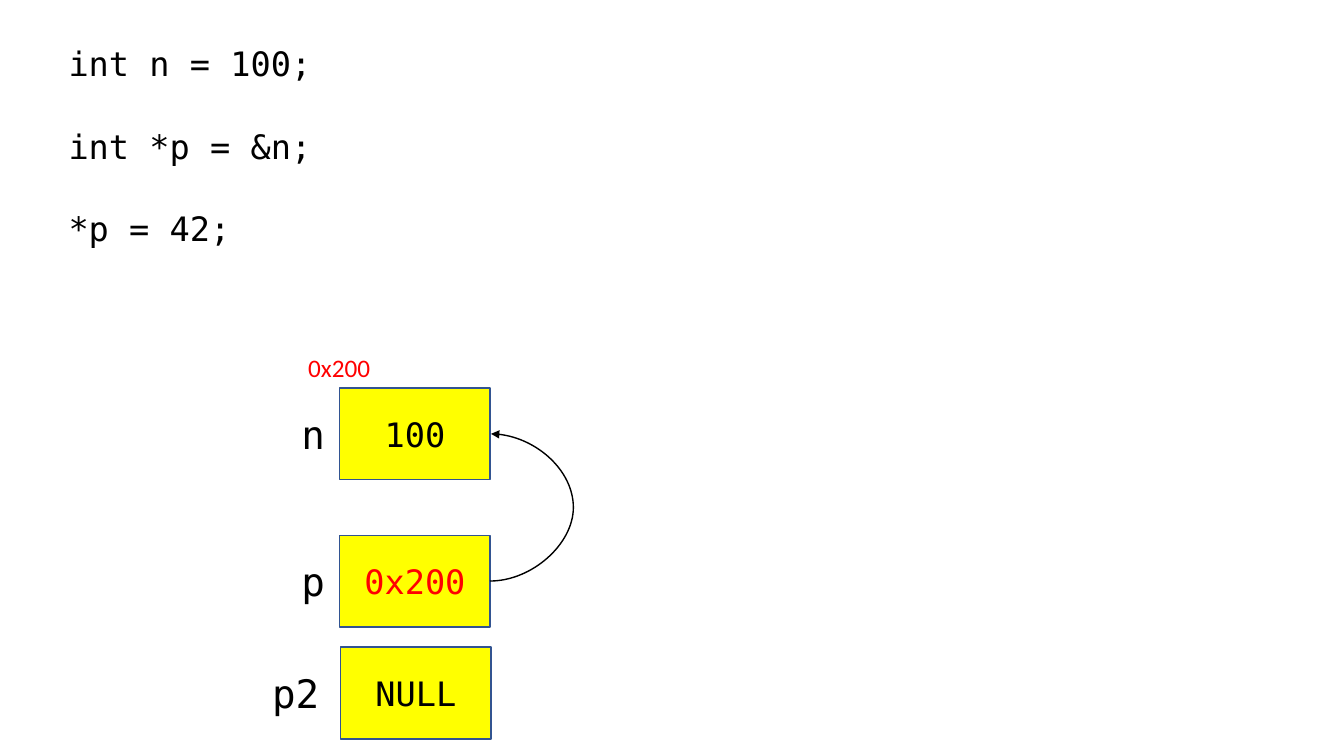
from pptx import Presentation
from pptx.dml.color import RGBColor
from pptx.enum.shapes import MSO_CONNECTOR, MSO_SHAPE
from pptx.enum.text import MSO_ANCHOR, PP_ALIGN
from pptx.oxml.ns import qn
from pptx.util import Inches, Pt
from lxml import etree

LEFT, CENTER = PP_ALIGN.LEFT, PP_ALIGN.CENTER
TOP, MIDDLE = MSO_ANCHOR.TOP, MSO_ANCHOR.MIDDLE
RECT, CURVE = MSO_SHAPE.RECTANGLE, MSO_CONNECTOR.CURVE

# Content
CODE = ["int n = 100;", "int *p = &n;", "*p = 42;"]
ADDRESS = "0x200"
# name, value, value colour, box left, box top, label left, label width
VARIABLES = [
    ("n", "100", "ink", 3.37, 3.85, 2.89, 0.44),
    ("p", ADDRESS, "address", 3.37, 5.31, 2.89, 0.44),
    ("p2", "NULL", "ink", 3.38, 6.42, 2.6, 0.72),
]

# Theme and layout
THEME = {
    "mono": "DejaVu Sans Mono", "sans": "Calibri",
    "ink": RGBColor(0, 0, 0), "address": RGBColor(255, 0, 0),
    "cell": RGBColor(255, 255, 0), "border": RGBColor(0x32, 0x54, 0x91),
    "code_size": Pt(24), "name_size": Pt(28), "note_size": Pt(18),
    "line": Pt(1), "code_gap": Pt(30),
}
BOX_W, BOX_H = 1.49, 0.91
NAME_DROP, NAME_H = 0.17, 0.57
ARROW_GAP, ARROW_BULGE = 0.01, 0.84

prs = Presentation()
prs.slide_width, prs.slide_height = Inches(13.33), Inches(7.5)
s = prs.slides.add_slide(prs.slide_layouts[6])


def write(shape, lines, size, color="ink", font="mono", align=LEFT,
          anchor=TOP, gap=Pt(0)):
    tf = shape.text_frame
    tf.word_wrap, tf.vertical_anchor = True, anchor
    tf.text = "\n".join(lines)
    for i, p in enumerate(tf.paragraphs):
        p.alignment = align
        p.space_before = gap if i else Pt(0)
        style = {"name": THEME[font], "size": THEME[size]}
        for key, value in style.items():
            setattr(p.runs[0].font, key, value)
        p.runs[0].font.color.rgb = THEME[color]


def text_box(x, y, w, h, lines, size, **style):
    box = s.shapes.add_textbox(*map(Inches, (x, y, w, h)))
    write(box, lines, size, **style)
    return box


# Code lines, indented by one character
code = text_box(0.38, 0.38, 4.04, 2.12, CODE, "code_size",
                gap=THEME["code_gap"])
code.text_frame.margin_left = Inches(0.3)

# Memory cells with their names
for name, value, color, x, y, name_x, name_w in VARIABLES:
    cell = s.shapes.add_shape(RECT, *map(Inches, (x, y, BOX_W, BOX_H)))
    cell.shadow.inherit = False
    cell.fill.solid()
    cell.fill.fore_color.rgb = THEME["cell"]
    cell.line.color.rgb, cell.line.width = THEME["border"], THEME["line"]
    write(cell, [value], "code_size", color=color, align=CENTER, anchor=MIDDLE)
    text_box(name_x, y + NAME_DROP, name_w, NAME_H, [name], "name_size")

# Address of n
text_box(2.95, 3.45, 0.83, 0.4, [ADDRESS], "note_size",
         color="address", font="sans", align=CENTER)

# Pointer arrow from p to n
target, pointer = VARIABLES[:2]
right = pointer[3] + BOX_W
arrow = s.shapes.add_connector(
    CURVE, Inches(right), Inches(pointer[4] + BOX_H / 2),
    Inches(right + ARROW_GAP), Inches(target[4] + BOX_H / 2))
arrow.line.color.rgb, arrow.line.width = THEME["ink"], THEME["line"]
etree.SubElement(arrow.line._get_or_add_ln(), qn("a:tailEnd"), type="triangle")
sp_pr = arrow._element.spPr
etree.SubElement(sp_pr, qn("a:effectLst"))
bulge = round(ARROW_BULGE / ARROW_GAP * 100000)
etree.SubElement(sp_pr.find(".//" + qn("a:avLst")), qn("a:gd"),
                 name="adj1", fmla=f"val {bulge}")

prs.save("out.pptx")
